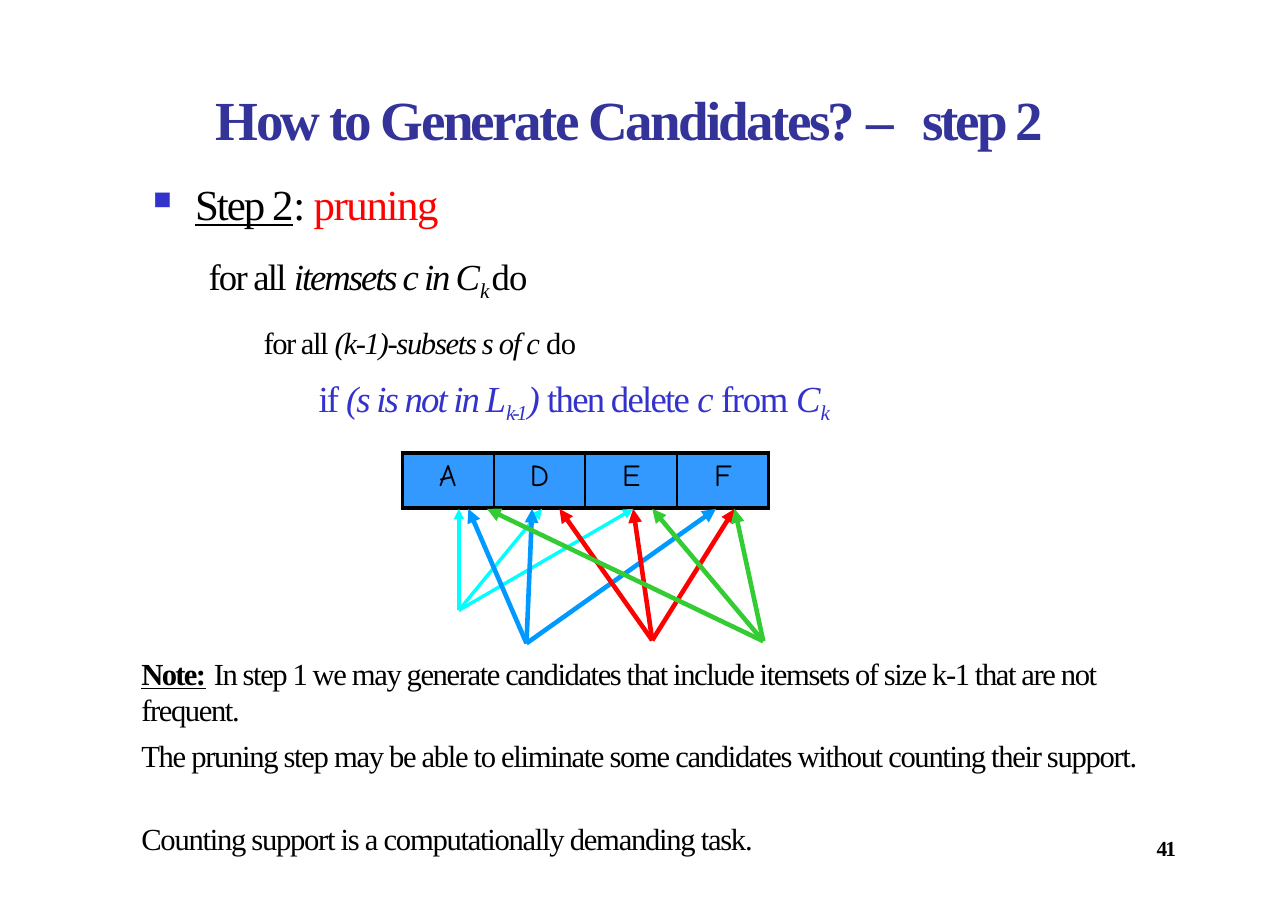
from lxml import etree
from pptx import Presentation
from pptx import util as u
from pptx.dml.color import RGBColor
from pptx.enum import shapes, text
from pptx.oxml.ns import qn

BLACK, BLUE, RED = "000000", "3333CC", "FF0000"


def colour(value):
    return RGBColor.from_string(value)


def add_element(parent, tag, **attributes):
    return etree.SubElement(parent, qn(tag), attributes)


class SlideBuilder:
    font = "Times New Roman"
    cell_font = "Comic Neue"
    cell_fill = "3399FF"

    def __init__(self, presentation):
        layout = presentation.slide_layouts[6]
        self.slide = presentation.slides.add_slide(layout)

    def run(self, paragraph, words, spacing=0, **formats):
        run = paragraph.add_run()
        run.text = words
        run.font.color.rgb = colour(formats.pop("color", BLACK))
        baseline = formats.pop("baseline", 0)
        values = {"name": self.font, **formats}
        values["size"] = u.Pt(values["size"])
        for name, value in values.items():
            setattr(run.font, name, value)
        properties = run.font._element
        if spacing:
            properties.set("spc", str(round(spacing * 100)))
        if baseline:
            properties.set("baseline", str(baseline * 1000))

    def textbox(self, left, top, width, height, paragraphs, inset=0.03):
        box = self.slide.shapes.add_textbox(*map(u.Cm, (left, top, width, height)))
        frame = box.text_frame
        formats = {"word_wrap": True, "margin_left": 0, "margin_right": 0,
                   "margin_top": u.Cm(inset), "margin_bottom": 0}
        for name, value in formats.items():
            setattr(frame, name, value)
        for index, (style, runs) in enumerate(paragraphs):
            paragraph = frame.add_paragraph() if index else frame.paragraphs[0]
            paragraph.space_before = u.Pt(style.get("before", 0))
            properties = paragraph._p.get_or_add_pPr()
            properties.set("marL", str(u.Cm(style.get("indent", 0.03))))
            if "bullet" in style:
                properties.set("indent", str(u.Cm(-0.97)))
                bullet_colour = add_element(properties, "a:buClr")
                add_element(bullet_colour, "a:srgbClr", val=style["bullet"])
                add_element(properties, "a:buSzPct", val="59000")
                add_element(properties, "a:buChar", char="■")
            for words, spacing, changes in runs:
                self.run(paragraph, words, spacing, **{**style["font"], **changes})

    def border(self, cell, **widths):
        properties = cell._tc.get_or_add_tcPr()
        for position, (side, width) in enumerate(widths.items()):
            line = etree.Element(qn(f"a:ln{side}"), w=str(u.Pt(width)))
            fill = add_element(line, "a:solidFill")
            add_element(fill, "a:srgbClr", val=BLACK)
            properties.insert(position, line)

    def table(self, left, top, width, height, items):
        frame = self.slide.shapes.add_table(1, len(items), *map(u.Cm, (left, top, width, height)))
        table = frame.table
        table.first_row = table.horz_banding = False
        last = len(items) - 1
        margins = {"margin_left": 0, "margin_right": 0,
                   "margin_top": u.Cm(0.13), "margin_bottom": 0}
        for index, item in enumerate(items):
            cell = table.cell(0, index)
            for name, value in margins.items():
                setattr(cell, name, value)
            cell.fill.solid()
            cell.fill.fore_color.rgb = colour(self.cell_fill)
            self.border(cell, L=1.5 if index else 2.25,
                        R=1.5 if index < last else 2.25, T=3, B=3)
            paragraph = cell.text_frame.paragraphs[0]
            paragraph.alignment = text.PP_ALIGN.CENTER
            paragraph.space_before = u.Pt(3.4)
            self.run(paragraph, item, size=20, name=self.cell_font)

    def arrow(self, start, end, line_colour, width):
        connector = self.slide.shapes.add_connector(
            shapes.MSO_CONNECTOR.STRAIGHT, *map(u.Cm, (*start, *end)))
        connector.line.color.rgb = colour(line_colour)
        connector.line.width = u.Pt(width)
        add_element(connector.line._get_or_add_ln(), "a:tailEnd", type="triangle")
        add_element(connector._element.spPr, "a:effectLst")


def main():
    presentation = Presentation()
    presentation.slide_width, presentation.slide_height = u.Cm(29.7), u.Cm(21)
    builder = SlideBuilder(presentation)

    # Title and page number
    title_style = {"font": {"size": 36, "bold": True, "color": "33339A"}}
    builder.textbox(4.95, 1.93, 20.29, 1.6, [(title_style, [
        ("How to Generate Candidates? ", -1.74, {}), ("– ", 4.7, {}), ("step 2", -2, {})])])
    number_style = {"font": {"size": 14, "bold": True}}
    builder.textbox(26.64, 19.23, 0.58, 0.64, [(number_style, [("41", -1.2, {})])])

    # Pruning algorithm
    italic = {"italic": True}
    subscript = {"italic": True, "baseline": -21}
    builder.textbox(3.51, 3.38, 16.97, 6.22, [
        ({"indent": 0.99, "bullet": BLUE, "font": {"size": 28}}, [
            ("Step 2", -1.27, {"underline": True}),
            (": ", -1.6, {}),
            ("pruning", -0.9, {"color": RED})]),
        ({"indent": 1.3, "before": 16.4, "font": {"size": 24}}, [
            ("for all ", -1.15, {}),
            ("itemsets c in C", -1.36, italic),
            ("k ", -2, subscript),
            ("do", -0.6, {})]),
        ({"indent": 2.57, "before": 13.8, "font": {"size": 20}}, [
            ("for all ", -1, {}),
            ("(k‐1)‐subsets s of c ", -0.89, italic),
            ("do", -0.5, {})]),
        ({"indent": 3.84, "before": 10.2, "font": {"size": 24, "color": BLUE}}, [
            ("if ", -1.4, {}),
            ("(s is not in L", -1.18, italic),
            ("k‐1", -1.8, subscript),
            (") ", -1.2, italic),
            ("then delete ", -1.13, {}),
            ("c ", -1.1, italic),
            ("from ", -0.9, {}),
            ("C", -1.4, italic),
            ("k", -2, subscript)]),
    ], inset=0.71)

    # Candidate itemset
    builder.table(9.27, 10.44, 8.46, 1.27, "ADEF")

    # Subsets: colour, line width, shared origin, arrow tips
    tip_top = 11.73
    subsets = [
        ("00FFFF", 2.25, (10.58, 14.07), (10.58, 12.5, 14.6)),
        ("0099FF", 3, (12.14, 14.83), (10.8, 12.27, 16.51)),
        (RED, 3, (15.04, 14.76), (12.9, 14.6, 16.94)),
        ("33CC33", 3, (17.6, 14.78), (16.94, 15.04, 11.23)),
    ]
    for line_colour, width, origin, tips in subsets:
        for tip in tips:
            builder.arrow(origin, (tip, tip_top), line_colour, width)

    # Notes
    note_font = {"size": 20}
    builder.textbox(3.23, 15.06, 23.1, 3.66, [
        ({"font": note_font}, [
            ("Note:", -1.1, {"bold": True, "underline": True}),
            (" ", -1.1, {"bold": True}),
            ("In step 1 we may generate candidates that include itemsets of size k‐1 "
             "that are not frequent.", -0.93, {})]),
        ({"before": 6, "font": note_font}, [
            ("The pruning step may be able to eliminate some candidates without counting "
             "their support.", -0.87, {})]),
    ])
    builder.textbox(3.23, 18.87, 15.88, 0.91, [({"font": note_font}, [
        ("Counting support is a computationally demanding task.", -0.84, {})])])

    presentation.save("out.pptx")


if __name__ == "__main__":
    main()
